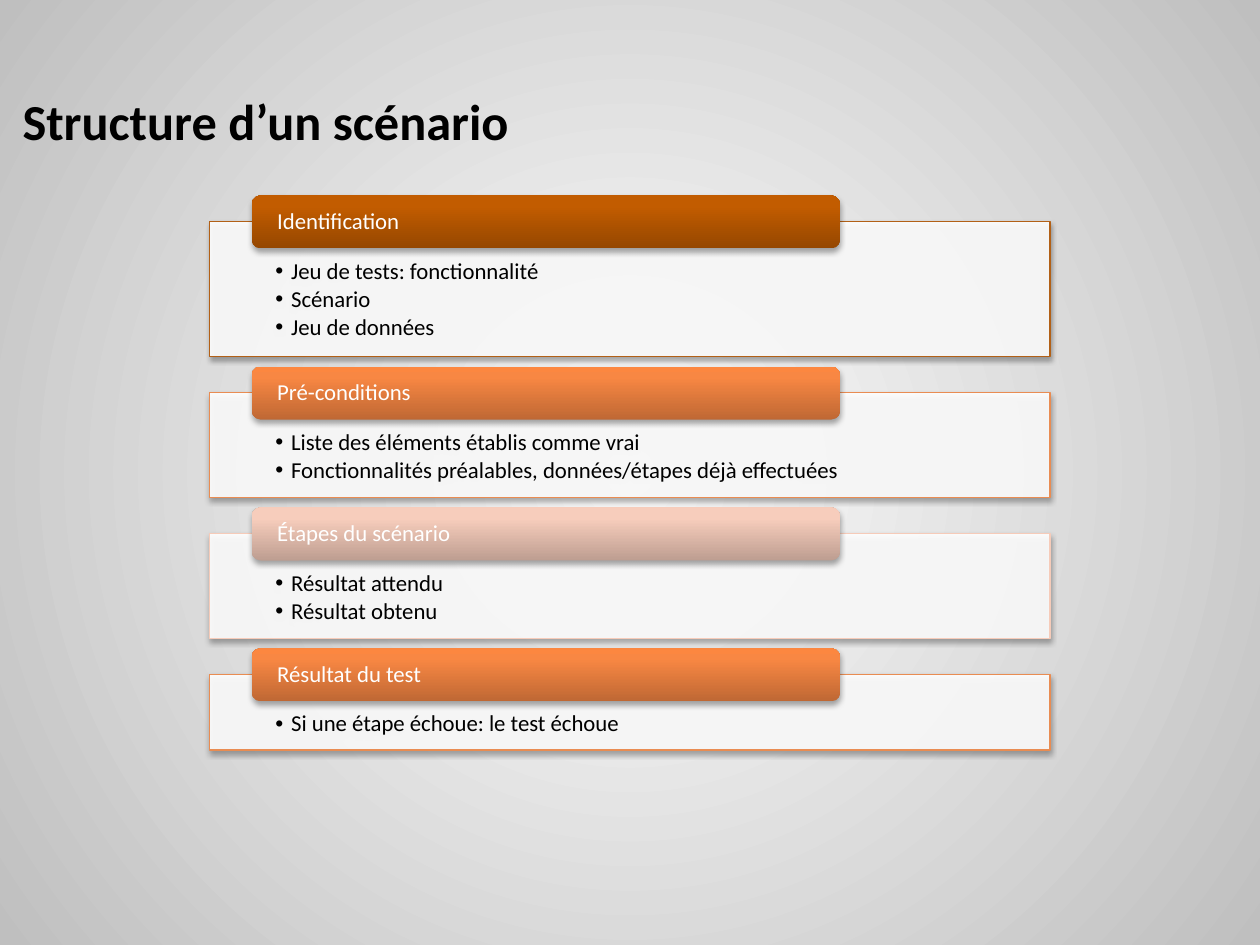
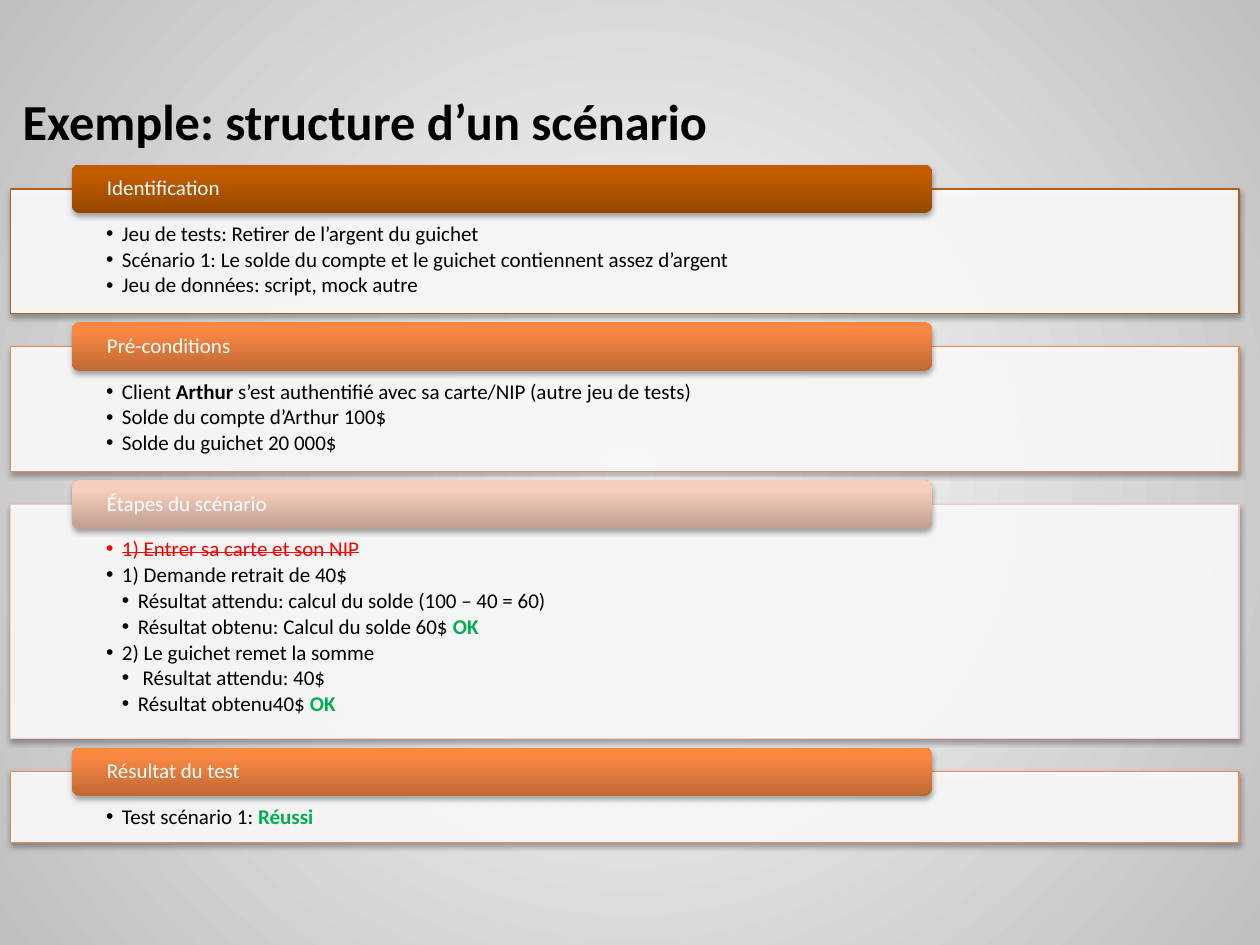
from lxml import etree
from pptx import Presentation
from pptx.dml.color import RGBColor
from pptx.enum.shapes import MSO_SHAPE
from pptx.enum.text import MSO_ANCHOR, PP_ALIGN
from pptx.oxml.ns import qn
from pptx.util import Cm, Pt

RECT, ROUND = MSO_SHAPE.RECTANGLE, MSO_SHAPE.ROUNDED_RECTANGLE
TOP, MIDDLE = MSO_ANCHOR.TOP, MSO_ANCHOR.MIDDLE
LEFT = PP_ALIGN.LEFT

FONT = "Calibri"
WHITE = RGBColor(0xFF, 0xFF, 0xFF)
BLACK = RGBColor(0x00, 0x00, 0x00)
GREY = RGBColor(0xBF, 0xBF, 0xBF)
RED = RGBColor(0xFF, 0x00, 0x00)
GREEN = RGBColor(0x00, 0xB0, 0x50)

# Each theme: panel line, then the tab gradient from bottom to top
BROWN = (RGBColor(0xB2, 0x60, 0x16), RGBColor(0x95, 0x47, 0x00),
         RGBColor(0xC2, 0x5C, 0x00), RGBColor(0xC2, 0x5D, 0x00))
ORANGE = (RGBColor(0xE9, 0x8C, 0x52), RGBColor(0xBF, 0x68, 0x34),
          RGBColor(0xF8, 0x87, 0x43), RGBColor(0xFC, 0x87, 0x40))
PALE = (RGBColor(0xF6, 0xCB, 0xB9), RGBColor(0xBE, 0x9E, 0x91),
        RGBColor(0xF7, 0xCD, 0xBC), RGBColor(0xF9, 0xCD, 0xBC))
PARTS = [("Identification", BROWN), ("Pré-conditions", ORANGE),
         ("Étapes du scénario", PALE), ("Résultat du test", ORANGE)]

# Run styles: colour, bold, struck through
PLAIN = (BLACK, False, False)
BOLD = (BLACK, True, False)
GOOD = (GREEN, True, False)
STRUCK = (RED, False, True)

# Sizes in cm; each part has a panel height and lines of (level, runs)
SLIDES = [
    dict(title="Structure d’un scénario", size=13, left=4.23, top=4.47,
         width=16.94, gap=0.73, tab=1.07, rise=0.53, inset=0.46,
         side=1.32, head=0.76, parts=[
             (2.72, [(1, [("Jeu de tests: fonctionnalité", PLAIN)]),
                     (1, [("Scénario", PLAIN)]),
                     (1, [("Jeu de données", PLAIN)])]),
             (2.11, [(1, [("Liste des éléments établis comme vrai", PLAIN)]),
                     (1, [("Fonctionnalités préalables, données/étapes déjà effectuées", PLAIN)])]),
             (2.11, [(1, [("Résultat attendu", PLAIN)]),
                     (1, [("Résultat obtenu", PLAIN)])]),
             (1.52, [(1, [("Si une étape échoue: le test échoue", PLAIN)])]),
         ]),
    dict(title="Exemple: structure d’un scénario", size=12, left=0.21, top=3.81,
         width=24.77, gap=0.67, tab=0.98, rise=0.49, inset=0.66,
         side=1.93, head=0.69, parts=[
             (2.51, [(1, [("Jeu de tests: Retirer de l’argent du guichet", PLAIN)]),
                     (1, [("Scénario 1: Le solde du compte et le guichet contiennent assez d’argent", PLAIN)]),
                     (1, [("Jeu de données: script, mock autre", PLAIN)])]),
             (2.51, [(1, [("Client ", PLAIN), ("Arthur", BOLD),
                          (" s’est authentifié avec sa carte/NIP (autre jeu de tests)", PLAIN)]),
                     (1, [("Solde du compte d’Arthur 100$", PLAIN)]),
                     (1, [("Solde du guichet 20 000$", PLAIN)])]),
             (4.72, [(1, [("1) Entrer sa carte et son NIP", STRUCK)]),
                     (1, [("1) Demande retrait de 40$", PLAIN)]),
                     (2, [("Résultat attendu: calcul du solde (100 – 40 = 60)", PLAIN)]),
                     (2, [("Résultat obtenu: Calcul du solde 60$ ", PLAIN), ("OK", GOOD)]),
                     (1, [("2) Le guichet remet la somme", PLAIN)]),
                     (2, [(" Résultat attendu: 40$", PLAIN)]),
                     (2, [("Résultat obtenu40$ ", PLAIN), ("OK", GOOD)])]),
             (1.42, [(1, [("Test scénario 1: ", PLAIN), ("Réussi", GOOD)])]),
         ]),
]


def blend(props, stops):
    """Turn a solid fill into a gradient and return the gradient element."""
    grad = etree.Element(qn("a:gradFill"), rotWithShape="1")
    row = etree.SubElement(grad, qn("a:gsLst"))
    for pos, color in stops:
        stop = etree.SubElement(row, qn("a:gs"), pos=str(pos * 1000))
        etree.SubElement(stop, qn("a:srgbClr"), val=str(color))
    props.replace(props.find(qn("a:solidFill")), grad)
    return grad


def add_box(slide, kind, place, pads, anchor):
    """Add a white shape with a soft shadow and set its text frame."""
    box = slide.shapes.add_shape(kind, *[Cm(n) for n in place])
    box.fill.solid()
    box.fill.fore_color.rgb = WHITE
    box.shadow.inherit = False
    effects = box.element.spPr.find(qn("a:effectLst"))
    shade = etree.SubElement(effects, qn("a:outerShdw"), blurRad="40000",
                             dist="23000", dir="5400000", rotWithShape="0")
    color = etree.SubElement(shade, qn("a:srgbClr"), val=str(BLACK))
    etree.SubElement(color, qn("a:alpha"), val="35000")
    frame = box.text_frame
    frame.word_wrap = True
    frame.vertical_anchor = anchor
    frame.margin_left = frame.margin_right = Cm(pads[0])
    frame.margin_top, frame.margin_bottom = Cm(pads[1]), Cm(pads[2])
    return box


prs = Presentation()
prs.slide_width, prs.slide_height = Cm(25.4), Cm(19.05)
master = prs.slide_master
master.background.fill.solid()
grad = blend(master.element.find(".//" + qn("p:bgPr")), [(0, WHITE), (100, GREY)])
ring = etree.SubElement(grad, qn("a:path"), path="circle")
etree.SubElement(ring, qn("a:fillToRect"), l="50000", t="50000", r="50000", b="50000")

for data in SLIDES:
    slide = prs.slides.add_slide(prs.slide_layouts[5])
    title = slide.shapes.title
    title.left, title.top, title.width, title.height = Cm(0.2), Cm(1.7), Cm(25.2), Cm(1.47)
    title.text_frame.vertical_anchor = MIDDLE
    para = title.text_frame.paragraphs[0]
    para.alignment = LEFT
    run = para.add_run()
    run.text = data["title"]
    run.font.name, run.font.size, run.font.bold = FONT, Pt(28.8), True
    run.font.color.rgb = BLACK

    left, top, width, size = data["left"], data["top"], data["width"], data["size"]
    for (name, (edge, *tones)), (height, lines) in zip(PARTS, data["parts"]):
        panel = add_box(slide, RECT, (left, top, width, height),
                        (data["side"], data["head"], 0.2), TOP)
        white = panel.element.spPr.find(qn("a:solidFill"))[0]
        etree.SubElement(white, qn("a:alpha"), val="90000")
        panel.line.color.rgb = edge
        panel.line.width = Pt(0.75)
        frame = panel.text_frame
        for i, (level, runs) in enumerate(lines):
            para = frame.add_paragraph() if i else frame.paragraphs[0]
            props = para._p.get_or_add_pPr()
            props.set("marL", str(Cm(0.32 * level)))
            props.set("indent", str(Cm(-0.32)))
            etree.SubElement(props, qn("a:buFont"), typeface="Arial")
            etree.SubElement(props, qn("a:buChar"), char="•")
            para.level = level
            para.alignment = LEFT
            para.line_spacing = 0.9
            para.space_after = Pt(0.15 * size)
            for text, (color, bold, struck) in runs:
                run = para.add_run()
                run.text = text
                run.font.name, run.font.size, run.font.bold = FONT, Pt(size), bold
                run.font.color.rgb = color
                if struck:
                    run.font._element.set("strike", "sngStrike")

        tab = add_box(slide, ROUND,
                      (left + 0.05 * width, top - data["rise"], 0.7 * width, data["tab"]),
                      (data["inset"], 0, 0), MIDDLE)
        tab.line.fill.background()
        grad = blend(tab.element.spPr, zip((0, 80, 100), tones))
        etree.SubElement(grad, qn("a:lin"), ang="16200000", scaled="0")
        para = tab.text_frame.paragraphs[0]
        para.alignment = LEFT
        para.line_spacing = 0.9
        run = para.add_run()
        run.text = name
        run.font.name, run.font.size = FONT, Pt(size)
        run.font.color.rgb = WHITE
        top += height + data["gap"]

prs.save("out.pptx")
